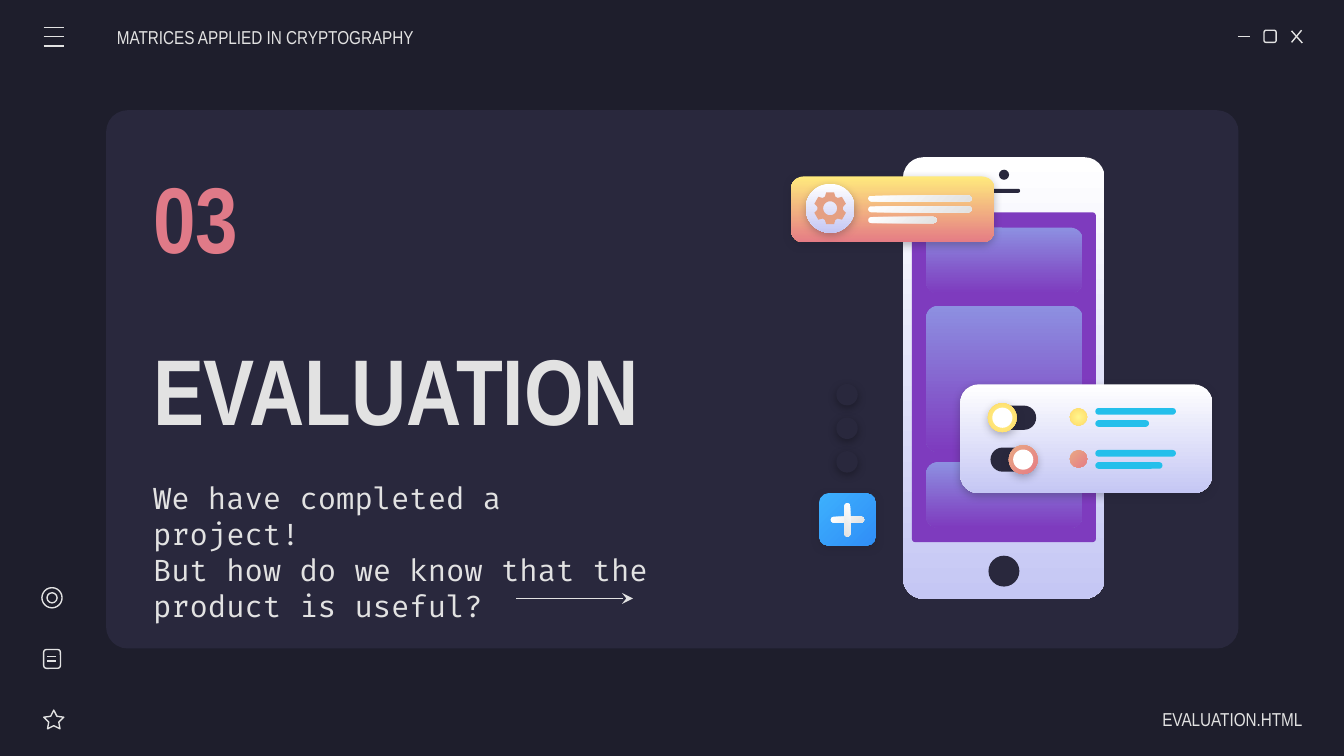
import math

from lxml import etree
from pptx import Presentation
from pptx.dml.color import RGBColor
from pptx.enum.shapes import MSO_CONNECTOR, MSO_SHAPE
from pptx.enum.text import MSO_ANCHOR, PP_ALIGN
from pptx.oxml.ns import qn
from pptx.util import Emu, Inches, Pt

ROUNDED = MSO_SHAPE.ROUNDED_RECTANGLE
OVAL = MSO_SHAPE.OVAL
STAR = MSO_SHAPE.STAR_5_POINT
STRAIGHT = MSO_CONNECTOR.STRAIGHT
MIDDLE = MSO_ANCHOR.MIDDLE
LEFT, RIGHT = PP_ALIGN.LEFT, PP_ALIGN.RIGHT

WIDTH = Inches(10)
HEIGHT = Emu(WIDTH * 9 // 16)
COLUMN = WIDTH / 100  # the grid is square: 100 columns across the slide

COLORS = {
    "page": "1E1E2C", "panel": "29283D", "text": "E2E2E2", "number": "E07A88",
    "white": "FFFFFF", "lavender": "C5C7F4", "violet": "7E3BBE", "haze": "8D90E1",
    "lemon": "FFEA7D", "coral": "E57C85", "gear": "E5A083", "peach": "E9A984",
    "straw": "FFF68E", "gold": "FFD966", "cyan": "24BFEB", "sky": "3DB0FD",
    "blue": "308EF7", "black": "000000",
}
PAPER = ("white", "lavender", 90)
PIPE = ("white", "text", 45)
TILE = ("haze", "violet", 90)
YELLOW = ("straw", "gold", None)
RED = ("peach", "coral", 45)


def rgb(name):
    return RGBColor.from_string(COLORS[name])


def grid(*values):
    return [Emu(round(value * COLUMN)) for value in values]


def paint(shape, fill):
    """Fill with a colour name, nothing, or (first, last, angle); angle None is radial."""
    if fill is None:
        shape.fill.background()
    elif isinstance(fill, str):
        shape.fill.solid()
        shape.fill.fore_color.rgb = rgb(fill)
    else:
        first, last, angle = fill
        shape.fill.gradient()
        for stop, name in zip(shape.fill.gradient_stops, (first, last)):
            stop.color.rgb = rgb(name)
        if angle is not None:
            shape.fill.gradient_angle = 360 - angle
            return
        linear = next(shape._element.spPr.iter(qn("a:lin")))
        radial = etree.Element(qn("a:path"), path="circle")
        etree.SubElement(radial, qn("a:fillToRect"), l="50000", t="50000", r="50000", b="50000")
        linear.getparent().replace(linear, radial)


def cast_shadow(shape, color):
    effects = shape._element.spPr.find(qn("a:effectLst"))
    outer = etree.SubElement(effects, qn("a:outerShdw"), blurRad=str(Pt(4.5)), dist=str(Pt(1.5)),
                             dir="5400000", algn="bl", rotWithShape="0")
    tint = etree.SubElement(outer, qn("a:srgbClr"), val=COLORS[color])
    etree.SubElement(tint, qn("a:alpha"), val="30000")


def finish(shape, fill=None, line=None, shadow=None):
    shape.shadow.inherit = False
    paint(shape, fill)
    if line:
        shape.line.color.rgb = rgb(line)
        shape.line.width = Pt(0.75)
    else:
        shape.line.fill.background()
    if shadow:
        cast_shadow(shape, shadow)


def add_shape(page, kind, area, corner=None, turn=0, **look):
    shape = page.shapes.add_shape(kind, *grid(*area))
    if corner is not None:
        shape.adjustments[0] = corner
    shape.rotation = turn
    finish(shape, **look)


def add_disc(page, x, y, size, **look):
    """Circle given by its centre."""
    add_shape(page, OVAL, (x - size / 2, y - size / 2, size, size), **look)


def add_pill(page, x, y, width, height, fill, turn=0):
    add_shape(page, ROUNDED, (x, y, width, height), corner=0.5, fill=fill, turn=turn)


def add_line(page, start, end, arrow=False):
    line = page.shapes.add_connector(STRAIGHT, *grid(*start, *end))
    line.line.color.rgb = rgb("text")
    line.line.width = Pt(0.75)
    properties = line._element.spPr
    if arrow:
        etree.SubElement(properties.find(qn("a:ln")), qn("a:tailEnd"), type="stealth")
    etree.SubElement(properties, qn("a:effectLst"))


def add_text(page, text, area, font="Arial Narrow", size=10, color="text", bold=False,
             align=LEFT, left=1, right=1):
    box = page.shapes.add_textbox(*grid(*area))
    frame = box.text_frame
    frame.word_wrap = True
    frame.vertical_anchor = MIDDLE
    frame.margin_left, frame.margin_right, frame.margin_top, frame.margin_bottom = grid(
        left, right, 1, 1)
    frame.text = text
    for para in frame.paragraphs:
        para.alignment = align
        para.font.name = font
        para.font.size = Pt(size)
        para.font.bold = bold
        para.font.color.rgb = rgb(color)


def add_gear(page, x, y):
    def point(radius, degrees):
        angle = math.radians(degrees)
        return grid(x + radius * math.sin(angle), y - radius * math.cos(angle))

    tooth = ((0.95, -24), (1.22, -14), (1.22, 14), (0.95, 24))
    rim = [point(radius, 60 * step + shift) for step in range(6) for radius, shift in tooth]
    hole = [point(0.52, -15 * step) for step in range(24)]
    builder = page.shapes.build_freeform(*rim[0])
    builder.add_line_segments(rim[1:])
    builder.move_to(*hole[0])
    builder.add_line_segments(hole[1:])
    finish(builder.convert_to_shape(), fill="gear")


def add_window_icons(page):
    add_line(page, (92.1, 2.7), (93, 2.7))
    add_shape(page, ROUNDED, (94.05, 2.25, 0.9, 0.9), corner=0.17, line="text")
    add_line(page, (96.1, 2.3), (96.9, 3.2))
    add_line(page, (96.85, 2.25), (96.1, 3.15))
    for row in range(3):
        y = 2.05 + 0.68 * row
        add_line(page, (3.25, y), (4.75, y))


def add_side_icons(page):
    for size in (1.5, 0.75):
        add_disc(page, 3.87, 44.48, size, line="text")
    add_shape(page, ROUNDED, (3.25, 48.33, 1.25, 1.4), corner=0.17, line="text")
    for y in (48.83, 49.2):
        add_line(page, (3.5, y), (4.2, y))
    add_shape(page, STAR, (3.25, 52.84, 1.5, 1.4), corner=0.25, line="text")


def add_phone(page):
    add_shape(page, ROUNDED, (67.2, 11.7, 15, 32.85), corner=0.1, fill=PAPER)
    add_disc(page, 74.7, 13, 0.75, fill="panel")
    add_pill(page, 73.5, 14.05, 2.4, 0.3, "panel")
    add_shape(page, ROUNDED, (67.85, 15.8, 13.7, 24.55), corner=0.02, fill="violet")
    for y, height in ((16.93, 4.9), (22.74, 10.9), (34.37, 4.9)):
        add_shape(page, ROUNDED, (68.9, y, 11.65, height), corner=0.92 / height, fill=TILE)
    add_disc(page, 74.7, 42.5, 2.3, fill="panel")


def add_settings_banner(page):
    add_shape(page, ROUNDED, (58.85, 13.13, 15.15, 4.9), corner=0.19,
              fill=("lemon", "coral", 90), shadow="page")
    add_disc(page, 61.77, 15.5, 3.65, fill=PAPER, shadow="page")
    add_gear(page, 61.77, 15.5)
    for row, width in enumerate((7.7, 7.7, 5.1)):
        add_pill(page, 64.6, 14.55 + 0.8 * row, width, 0.45, PIPE)


def add_switch_card(page):
    add_shape(page, ROUNDED, (71.45, 28.6, 18.75, 8.1), corner=0.17, fill=PAPER, shadow="page")
    for row, (knob, fill, short) in enumerate(((74.58, YELLOW, 4), (76.13, RED, 5))):
        y = 31.08 + 3.12 * row
        add_pill(page, 73.7, y - 0.9, 3.4, 1.8, "panel")
        add_disc(page, knob, y, 2.15, fill=fill, shadow="page")
        add_disc(page, knob, y, 1.5, fill="white")
        add_disc(page, 80.25, y - 0.05, 1.3, fill=fill)
        for offset, width in ((-0.72, 6), (0.18, short)):
            add_pill(page, 81.5, y + offset, width, 0.5, "cyan")


def add_plus_button(page):
    add_shape(page, ROUNDED, (60.95, 36.7, 4.2, 3.9), corner=0.18,
              fill=("sky", "blue", 45), shadow="page")
    for turn in (0, 90):
        add_pill(page, 61.8, 38.45, 2.5, 0.45, PIPE, turn=turn)
    for row in reversed(range(3)):
        add_disc(page, 63.03, 29.37 + 2.5 * row, 1.6, fill="panel", shadow="black")


def main():
    deck = Presentation()
    deck.slide_width, deck.slide_height = WIDTH, HEIGHT
    page = deck.slides.add_slide(deck.slide_layouts[6])
    page.background.fill.solid()
    page.background.fill.fore_color.rgb = rgb("page")

    add_shape(page, ROUNDED, (7.9, 8.2, 84.25, 40.05), corner=0.04, fill="panel")
    add_window_icons(page)
    add_side_icons(page)
    add_text(page, "MATRICES APPLIED IN CRYPTOGRAPHY", (8.7, 1.25, 26.7, 3), left=0)
    add_text(page, "EVALUATION.HTML", (85.2, 52.03, 11.7, 3), align=RIGHT, right=0)
    add_text(page, "EVALUATION", (10.4, 20.7, 48.5, 16.4), size=50, bold=True)
    add_text(page, "03", (10.4, 11.5, 17.8, 9.2), size=50, bold=True, color="number")
    add_text(page, "We have completed a project!\nBut how do we know that the product is useful?",
             (10.4, 37.13, 39.9, 7.8), font="Fira Code", size=16)
    add_line(page, (38.4, 44.53), (47.1, 44.53), arrow=True)
    add_phone(page)
    add_settings_banner(page)
    add_switch_card(page)
    add_plus_button(page)
    deck.save("out.pptx")


if __name__ == "__main__":
    main()
